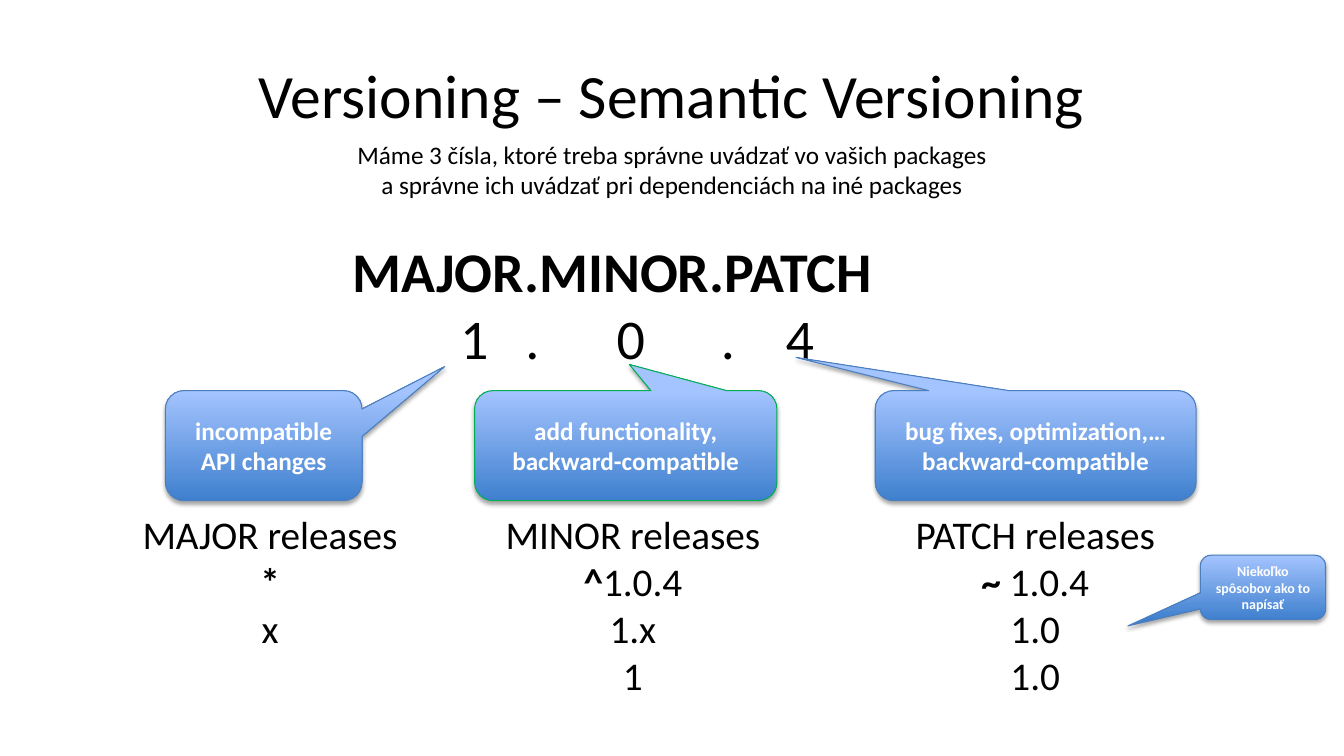
from dataclasses import dataclass

from lxml import etree
from pptx import Presentation
from pptx.dml.color import RGBColor
from pptx.enum.shapes import MSO_SHAPE
from pptx.enum.text import MSO_ANCHOR, PP_ALIGN
from pptx.oxml import parse_xml
from pptx.oxml.ns import nsdecls, qn
from pptx.util import Inches, Pt

BUBBLE = MSO_SHAPE.ROUNDED_RECTANGULAR_CALLOUT
TOP, MIDDLE = MSO_ANCHOR.TOP, MSO_ANCHOR.MIDDLE
LEFT, CENTER = PP_ALIGN.LEFT, PP_ALIGN.CENTER
WIDE, HIGH = Inches(13.33), Inches(7.5)
COLS, ROWS = 160, 90


@dataclass(frozen=True)
class Theme:
    font: str = "Calibri"
    ink: str = "000000"
    light: str = "FFFFFF"
    deep: str = "3F80CE"
    pale: str = "A4C4FF"
    edge: str = "4B7EBC"
    green: str = "00B050"
    title: int = 44
    hero: int = 40
    list: int = 28
    body: int = 18
    note: int = 10


THEME = Theme()


def place(box):
    x, y, w, h = box
    return [int(n) for n in (x * WIDE / COLS, y * HIGH / ROWS,
                             w * WIDE / COLS, h * HIGH / ROWS)]


def write(frame, lines, size, color=THEME.ink, bold=False,
          anchor=TOP, wrap=True):
    frame.word_wrap = wrap
    frame.vertical_anchor = anchor
    for i, line in enumerate(lines):
        para = frame.paragraphs[0] if i == 0 else frame.add_paragraph()
        para.alignment = CENTER
        runs = [(line, bold)] if isinstance(line, str) else line
        for text, heavy in runs:
            run = para.add_run()
            run.text = text
            run.font.name = THEME.font
            run.font.size = Pt(size)
            run.font.bold = heavy
            run.font.color.rgb = RGBColor.from_string(color)


def label(slide, box, lines, size, **style):
    frame = slide.shapes.add_textbox(*place(box)).text_frame
    write(frame, lines, size, **style)
    return frame


def align_tabs(para, stops):
    para.alignment = LEFT
    tabs = etree.SubElement(para._p.get_or_add_pPr(), qn("a:tabLst"))
    for stop in stops:
        etree.SubElement(tabs, qn("a:tab"),
                         pos=str(int(stop * WIDE / COLS)), algn="ctr")


def header(slide, box):
    x, y, w, h = box
    label(slide, (x, y, w, h * 0.73), ["Versioning – Semantic Versioning"],
          THEME.title, anchor=MIDDLE)
    label(slide, (x + w * 0.23, y + h * 0.6, w * 0.54, h * 0.4),
          ["Máme 3 čísla, ktoré treba správne uvádzať vo vašich packages",
           "a správne ich uvádzať pri dependenciách na iné packages"],
          THEME.body, wrap=False)


def version(slide, box):
    frame = label(slide, box,
                  ["MAJOR.MINOR.PATCH", [("\t1\t.\t0\t.\t4", False)]],
                  THEME.hero, bold=True)
    align_tabs(frame.paragraphs[1],
               [box[2] * part for part in (0.36, 0.415, 0.508, 0.6, 0.668)])


def bubble(slide, box, tip, lines, size=THEME.body, edge=THEME.edge):
    shape = slide.shapes.add_shape(BUBBLE, *place(box))
    for i, value in enumerate((*tip, 0.167)):
        shape.adjustments[i] = value
    shape.fill.gradient()
    shape.fill.gradient_angle = 90
    for stop, color in zip(shape.fill.gradient_stops,
                           (THEME.deep, THEME.pale)):
        stop.color.rgb = RGBColor.from_string(color)
    shape.line.color.rgb = RGBColor.from_string(edge)
    shape.line.width = Pt(0.75)
    shape.shadow.inherit = False
    shape._element.spPr.find(qn("a:effectLst")).append(parse_xml(
        f'<a:outerShdw {nsdecls("a")} blurRad="{Pt(3.1)}" dist="{Pt(1.8)}" '
        'dir="5400000" rotWithShape="0"><a:srgbClr val="000000">'
        '<a:alpha val="35000"/></a:srgbClr></a:outerShdw>'))
    write(shape.text_frame, lines, size, color=THEME.light, bold=True,
          anchor=MIDDLE)


def meanings(slide, box):
    x, y, w, h = box
    items = [
        (0, 23.4, (0.921, -0.719), ["incompatible API changes"], THEME.edge),
        (36.8, 36, (0.012, -0.738), ["add functionality, backward-compatible"],
         THEME.green),
        (84.5, 38.2, (-0.747, -0.802),
         ["bug fixes, optimization,…", "backward-compatible"], THEME.edge),
    ]
    for left, width, tip, lines, edge in items:
        bubble(slide, (x + left, y, width, h), tip, lines, edge=edge)


def releases(slide, box):
    x, y, w, h = box
    items = [
        (0, 34.3, ["MAJOR releases", [("*", True)], "x"]),
        (43.2, 34.3, ["MINOR releases", [("^", True), ("1.0.4", False)],
                      "1.x", "1"]),
        (92.3, 31.9, ["PATCH releases", [("~", True), (" 1.0.4", False)],
                      "1.0", "1.0"]),
    ]
    for left, width, lines in items:
        label(slide, (x + left, y, width, h * len(lines) / 4), lines,
              THEME.list, wrap=False)
    bubble(slide, (x + w - 14.9, y + h * 0.2, 14.9, h * 0.26),
           (-1.08, 0.598), ["Niekoľko spôsobov ako to napísať"], THEME.note)


def main():
    deck = Presentation()
    deck.slide_width, deck.slide_height = WIDE, HIGH
    slide = deck.slides.add_slide(deck.slide_layouts[6])
    header(slide, (8, 3.6, 144, 20.6))
    version(slide, (10, 27.6, 125.8, 17.4))
    meanings(slide, (19.7, 46.5, 122.7, 13.1))
    releases(slide, (15, 60.2, 142.8, 29.5))
    deck.save("out.pptx")


if __name__ == "__main__":
    main()
